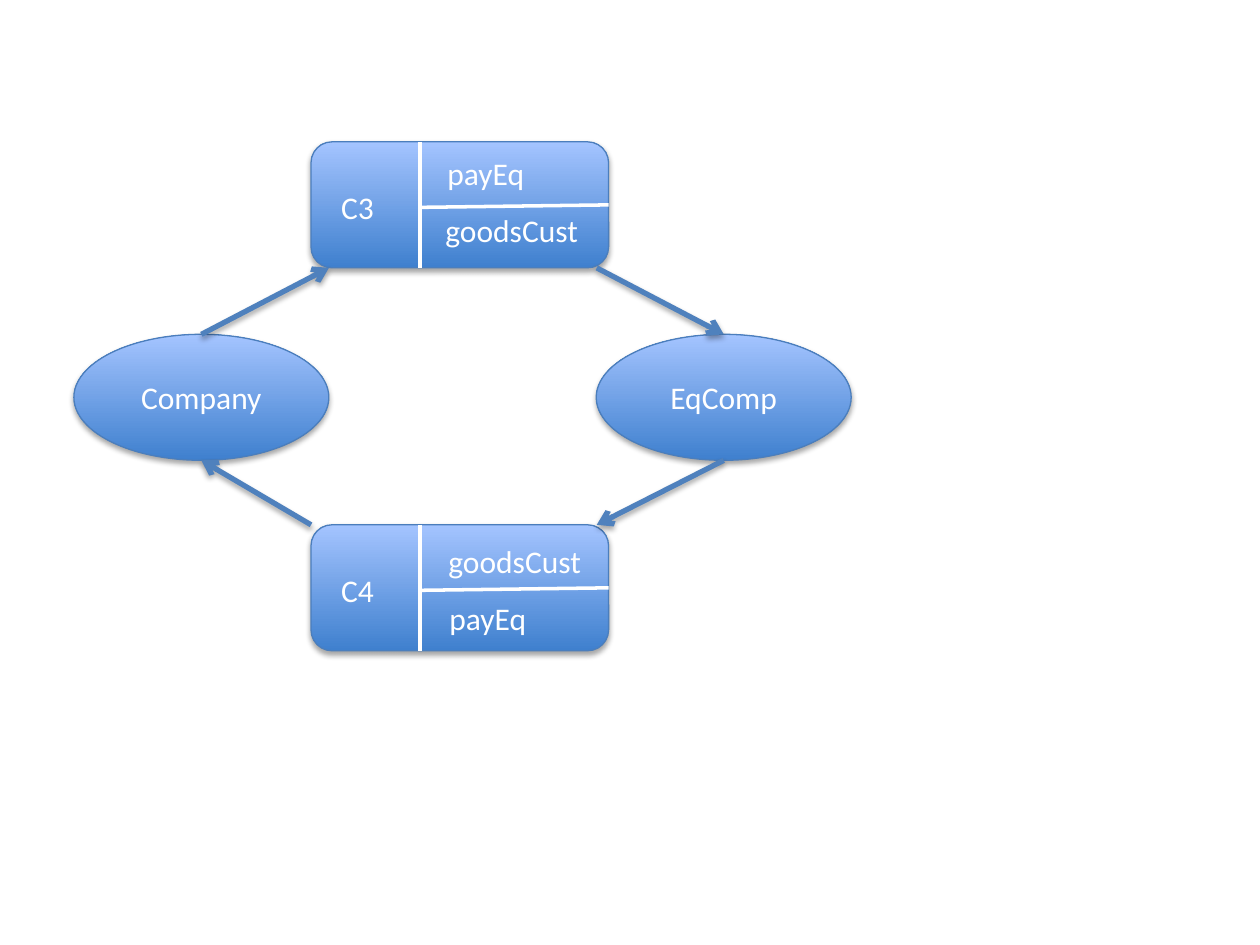
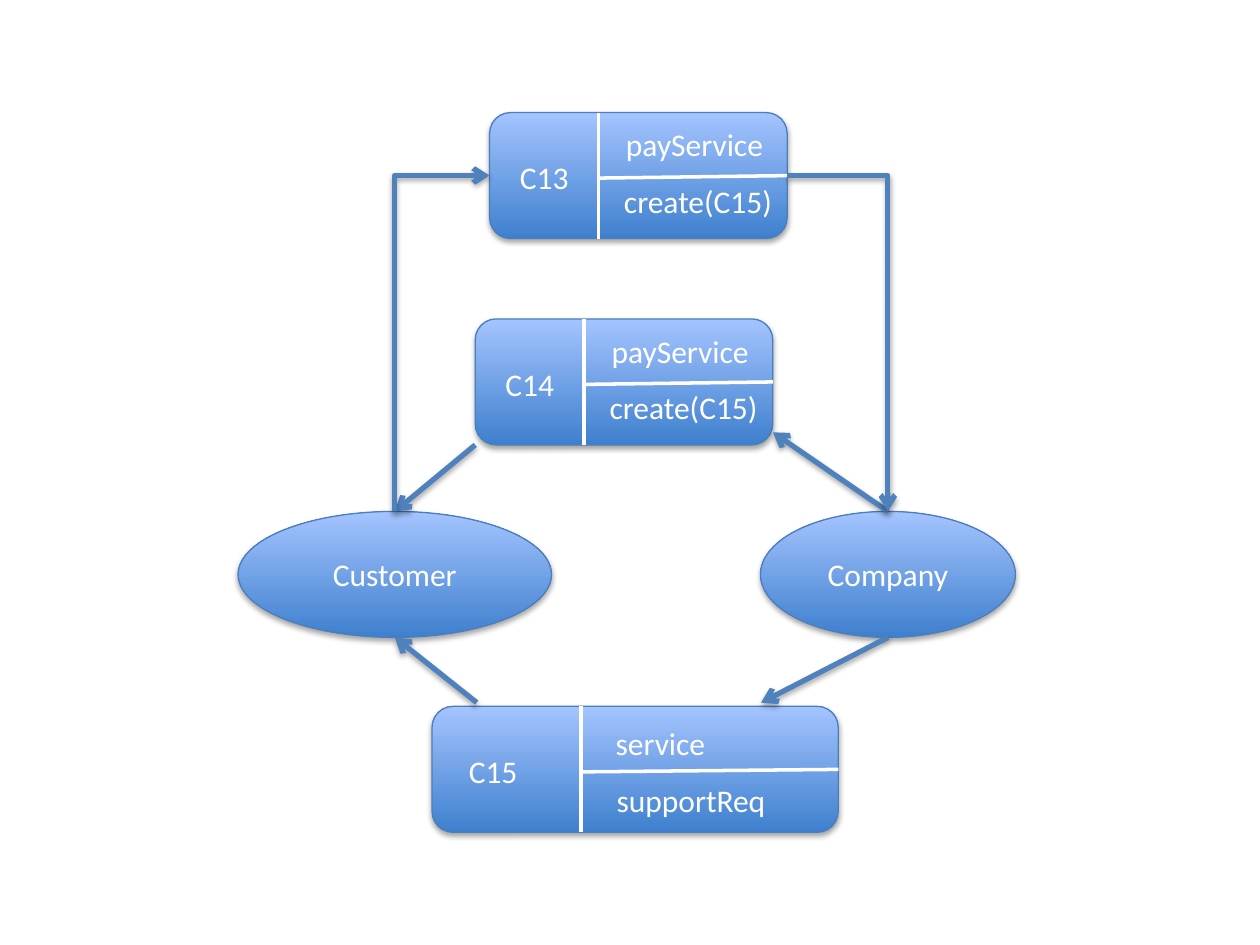
"""Builds two diagrams of contracts exchanged between participants."""
from lxml.etree import SubElement
from pptx import Presentation
from pptx.dml.color import RGBColor
from pptx.enum.shapes import MSO_CONNECTOR, MSO_SHAPE
from pptx.enum.text import MSO_ANCHOR, MSO_AUTO_SIZE, PP_ALIGN
from pptx.oxml.ns import qn
from pptx.util import Cm, Pt

COLOURS = {
    "deep": "3F80CE",
    "pale": "A4C4FF",
    "outline": "4B7EBC",
    "arrow": "4F81BD",
    "text": "FFFFFF",
    "divider": "FFFFFF",
    "shadow": "000000",
}
FONT = "Calibri"
FONT_SIZE = 18
PART_HEIGHT = 2.54
LABEL_HEIGHT = 1.02
ROW_STEP = 1.14
DIVIDER_TILT = 0.05
LABEL_WIDTHS = {
    "C3": 1.17, "C4": 1.19, "C13": 1.5, "C14": 1.5, "C15": 2.06,
    "payEq": 2.11, "goodsCust": 3.23, "payService": 3.3,
    "create(C15)": 3.56, "service": 3.18, "supportReq": 4.85,
}
HIGH_TERMS = {"drop": 0.13, "indents": (2.5, 2.46)}
LOW_TERMS = {"drop": 0.23, "indents": (2.52, 2.54)}
WIDE_TERMS = {"drop": 0.23, "indents": (3.45, 3.47)}

DIAGRAMS = [
    {
        "participants": {
            "Company": (1.49, 6.74, 5.14),
            "EqComp": (12.02, 6.74, 5.14),
        },
        "contracts": {
            "C3": (6.27, 2.86, 6, HIGH_TERMS, ("payEq", "goodsCust")),
            "C4": (6.27, 10.58, 6, LOW_TERMS, ("goodsCust", "payEq")),
        },
        "flows": [
            (("Company", 0.5, 0), ("C3", 0.06, 1)),
            (("C3", 0.96, 1), ("EqComp", 0.5, 0)),
            (("EqComp", 0.5, 1), ("C4", 0.96, 0)),
            (("C4", 0, 0), ("Company", 0.5, 1)),
        ],
        "rising": [],
        "falling": [],
    },
    {
        "participants": {
            "Customer": (4.8, 10.31, 6.32),
            "Company": (15.33, 10.31, 5.14),
        },
        "contracts": {
            "C14": (9.58, 6.43, 6, HIGH_TERMS, ("payService", "create(C15)")),
            "C15": (8.71, 14.24, 8.19, WIDE_TERMS, ("service", "supportReq")),
            "C13": (9.87, 2.27, 6, HIGH_TERMS, ("payService", "create(C15)")),
        },
        "flows": [
            (("C14", 0, 1), ("Customer", 0.5, 0)),
            (("Company", 0.5, 0), ("C14", 1, 0.9)),
            (("Company", 0.5, 1), ("C15", 0.81, -0.03)),
            (("C15", 0.11, -0.03), ("Customer", 0.5, 1)),
        ],
        "rising": [(("Customer", 0.5, 0), ("C13", 0, 0.5))],
        "falling": [(("C13", 1, 0.5), ("Company", 0.5, 0))],
    },
]


def colour(name):
    return RGBColor.from_string(COLOURS[name])


def write(frame, words):
    run = frame.paragraphs[0].add_run()
    run.text = words
    run.font.size = Pt(FONT_SIZE)
    run.font.name = FONT
    run.font.color.rgb = colour("text")


def cast_shadow(effects):
    shadow = SubElement(effects, qn("a:outerShdw"), blurRad="40000",
                        dist="23000", dir="5400000", rotWithShape="0")
    tint = SubElement(shadow, qn("a:srgbClr"), val=COLOURS["shadow"])
    SubElement(tint, qn("a:alpha"), val="35000")


def add_part(shapes, preset, left, top, width):
    part = shapes.add_shape(preset, Cm(left), Cm(top), Cm(width), Cm(PART_HEIGHT))
    part.fill.gradient()
    part.fill.gradient_angle = 90
    for stop, position, name in zip(part.fill.gradient_stops, (0, 1), ("deep", "pale")):
        stop.position = position
        stop.color.rgb = colour(name)
    part.line.color.rgb = colour("outline")
    part.line.width = Pt(0.75)
    part.shadow.inherit = False
    cast_shadow(part._element.spPr.find(qn("a:effectLst")))
    return part


def add_participant(shapes, name, left, top, width):
    frame = add_part(shapes, MSO_SHAPE.OVAL, left, top, width).text_frame
    frame.vertical_anchor = MSO_ANCHOR.MIDDLE
    frame.paragraphs[0].alignment = PP_ALIGN.CENTER
    write(frame, name)


def add_line(shapes, start, end, name, points, kind=MSO_CONNECTOR.STRAIGHT):
    line = shapes.add_connector(kind, *(Cm(value) for value in (*start, *end)))
    line.line.color.rgb = colour(name)
    line.line.width = Pt(points)
    return line, SubElement(line._element.spPr, qn("a:effectLst"))


def add_label(shapes, words, left, top):
    box = shapes.add_textbox(Cm(left), Cm(top), Cm(LABEL_WIDTHS[words]), Cm(LABEL_HEIGHT))
    box.text_frame.word_wrap = False
    box.text_frame.auto_size = MSO_AUTO_SIZE.SHAPE_TO_FIT_TEXT
    write(box.text_frame, words)


def add_contract(slide, name, left, top, width, layout, terms):
    shapes = slide.shapes.add_group_shape().shapes
    add_part(shapes, MSO_SHAPE.ROUNDED_RECTANGLE, left, top, width)
    split = left + 0.366 * width
    middle = top + PART_HEIGHT / 2
    add_line(shapes, (split, top), (split, top + PART_HEIGHT), "divider", 2)
    add_line(shapes, (left + width, middle), (split, middle + DIVIDER_TILT), "divider", 2)
    add_label(shapes, name, left + 0.06 * width, top + 0.8)
    for row, (term, indent) in enumerate(zip(terms, layout["indents"])):
        add_label(shapes, term, left + indent, top + layout["drop"] + row * ROW_STEP)


def add_arrow(shapes, start, end, kind=MSO_CONNECTOR.STRAIGHT):
    arrow, effects = add_line(shapes, start, end, "arrow", 3, kind)
    SubElement(arrow._element.spPr.find(qn("a:ln")), qn("a:tailEnd"), type="arrow")
    cast_shadow(effects)
    return arrow


def add_corner_arrow(shapes, start, end):
    arrow = add_arrow(shapes, start, end, MSO_CONNECTOR.ELBOW)
    arrow._element.spPr.find(qn("a:prstGeom")).set("prst", "bentConnector2")
    return arrow


def add_rising_arrow(shapes, start, end):
    centre_x, centre_y = ((a + b) / 2 for a, b in zip(start, end))
    half_run, half_rise = (end[0] - start[0]) / 2, (start[1] - end[1]) / 2
    arrow = add_corner_arrow(shapes, (centre_x + half_rise, centre_y + half_run),
                             (centre_x - half_rise, centre_y - half_run))
    arrow._element.spPr.find(qn("a:xfrm")).set("rot", "5400000")


def build(slide, diagram):
    places = {**diagram["participants"], **diagram["contracts"]}

    def anchor(name, across, down):
        left, top, width = places[name][:3]
        return left + across * width, top + down * PART_HEIGHT

    for name, place in diagram["participants"].items():
        add_participant(slide.shapes, name, *place)
    for name, place in diagram["contracts"].items():
        add_contract(slide, name, *place)
    for group, draw in (("flows", add_arrow), ("rising", add_rising_arrow),
                        ("falling", add_corner_arrow)):
        for start, end in diagram[group]:
            draw(slide.shapes, anchor(*start), anchor(*end))


deck = Presentation()
deck.slide_width, deck.slide_height = Cm(25.4), Cm(19.05)
for diagram in DIAGRAMS:
    build(deck.slides.add_slide(deck.slide_layouts[6]), diagram)
deck.save("out.pptx")
